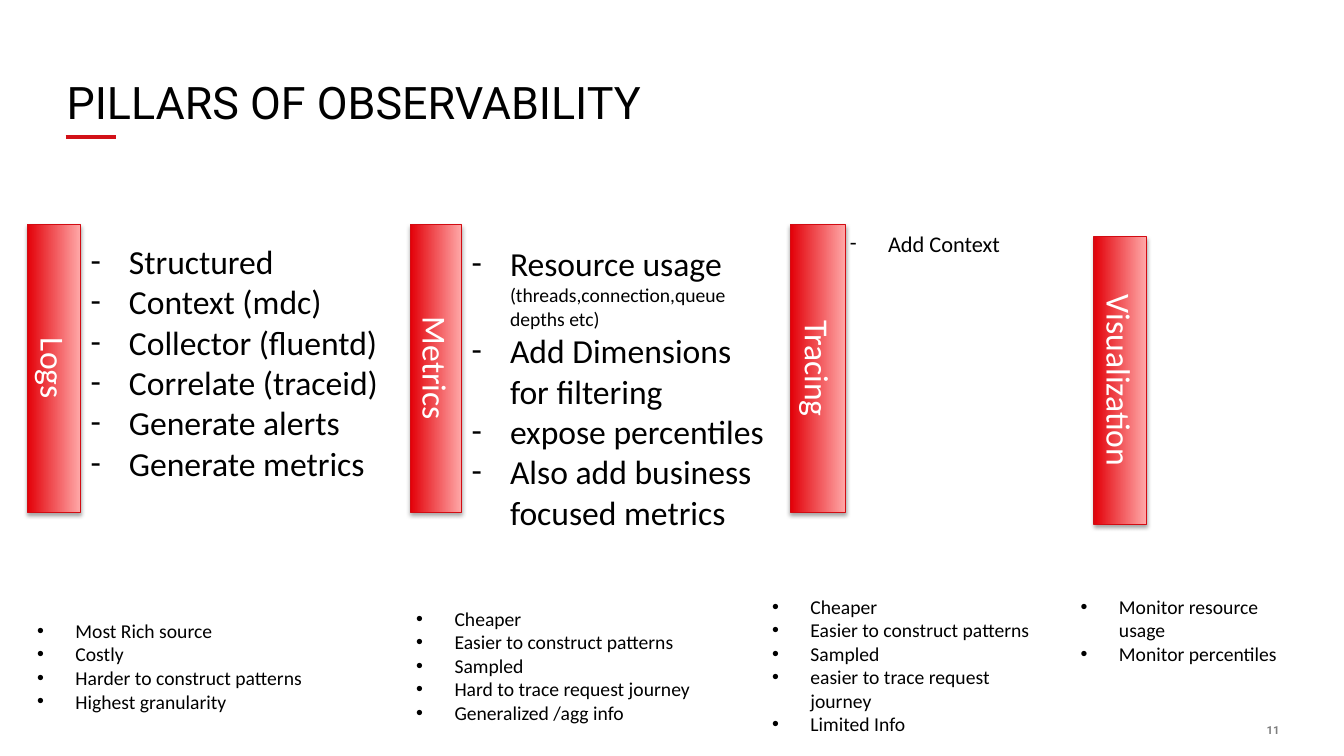
from lxml import etree
from pptx import Presentation
from pptx.dml.color import RGBColor
from pptx.enum.shapes import MSO_CONNECTOR as CONN, MSO_SHAPE as SHAPE
from pptx.enum.text import MSO_ANCHOR as ANCHOR, MSO_AUTO_SIZE as FIT, PP_ALIGN as ALIGN
from pptx.oxml import parse_xml
from pptx.oxml.ns import nsdecls, qn
from pptx.util import Inches, Pt

BLACK = RGBColor(0, 0, 0)
WHITE = RGBColor(0xFF, 0xFF, 0xFF)
GRAY = RGBColor(0x7F, 0x7F, 0x7F)
RULE = RGBColor(0xD2, 0x11, 0x18)
EDGE = RGBColor(0xD2, 0x0C, 0x13)
RED = RGBColor(0xE3, 0x00, 0x08)
PINK = RGBColor(0xFF, 0xA8, 0xA8)

# Content
TITLE = "PILLARS OF OBSERVABILITY"
NUMBER = " 11"
TALL = 2.85
# name, left, top and width as seen on the slide
PILLARS = [
    ("Logs", 0.27, 2.23, 0.53),
    ("Metrics", 4.07, 2.23, 0.51),
    ("Tracing", 7.84, 2.23, 0.55),
    ("Visualization", 10.85, 2.35, 0.52),
]
# box, bullet, size, items; an item is a text or a list of (text, size)
LISTS = [
    ((0.8, 2.34, 3.05, 2.52), "-", 24,
     ["Structured", "Context (mdc)", "Collector (fluentd)",
      "Correlate (traceid)", "Generate alerts", "Generate metrics"]),
    ((4.58, 2.36, 3.11, 3), "-", 24,
     [[("Resource usage ", 24), ("(threads,connection,queue depths etc)", 14)],
      "Add Dimensions for filtering", "expose percentiles",
      "Also add business focused metrics"]),
    ((8.33, 2.23, 2.28, 1.18), "-", 16, ["Add Context"]),
    ((0.27, 6.09, 2.93, 1.04), "•", 14,
     ["Most Rich source", "Costly", "Harder to construct patterns",
      "Highest granularity"]),
    ((4.03, 5.97, 2.93, 1.28), "•", 14,
     ["Cheaper", "Easier to construct patterns", "Sampled",
      "Hard to trace request journey", "Generalized /agg info"]),
    ((7.56, 5.85, 2.77, 1.51), "•", 14,
     ["Cheaper", "Easier to construct patterns", "Sampled",
      "easier to trace request journey", "Limited Info"]),
    ((10.62, 5.85, 2.17, 1.51), "•", 14,
     ["Monitor resource usage", "Monitor percentiles"]),
]


def place(box):
    return [Inches(v) for v in box]


def style(thing, **values):
    for name, value in values.items():
        setattr(thing, name, value)


def write(para, text, size, color, face="Calibri", bold=False):
    run = para.add_run()
    run.text = text
    style(run.font, size=Pt(size), name=face, bold=bold)
    run.font.color.rgb = color


def add_bullet(para, mark):
    props = para._p.get_or_add_pPr()
    props.set("marL", str(Inches(0.38)))
    props.set("indent", str(-Inches(0.38)))
    font = etree.SubElement(props, qn("a:buFont"))
    font.set("typeface", "Arial" if mark == "•" else "Calibri")
    etree.SubElement(props, qn("a:buChar")).set("char", mark)


def add_list(slide, box, mark, size, items):
    frame = slide.shapes.add_textbox(*place(box)).text_frame
    style(frame, word_wrap=True, auto_size=FIT.NONE)
    for i, item in enumerate(items):
        para = frame.add_paragraph() if i else frame.paragraphs[0]
        add_bullet(para, mark)
        for text, points in [(item, size)] if isinstance(item, str) else item:
            write(para, text, points, BLACK)


def add_pillar(slide, name, left, top, wide):
    # The bar lies flat, then turns about its centre
    shift = (TALL - wide) / 2
    bar = slide.shapes.add_shape(
        SHAPE.RECTANGLE, *place((left - shift, top + shift, TALL, wide)))
    bar.rotation = 90
    bar.fill.gradient()
    bar.fill.gradient_angle = 90
    for stop, color, spot in zip(bar.fill.gradient_stops, (RED, PINK), (0, 1)):
        stop.color.rgb = color
        stop.position = spot
    bar.line.color.rgb = EDGE
    bar.line.width = Pt(0.75)

    # Soft shadow straight below
    bar.shadow.inherit = False
    bar._element.spPr.find(qn("a:effectLst")).append(parse_xml(
        f'<a:outerShdw {nsdecls("a")} blurRad="{Pt(3.1)}" dist="{Pt(1.8)}" '
        'dir="5400000" rotWithShape="0"><a:srgbClr val="000000">'
        '<a:alpha val="35000"/></a:srgbClr></a:outerShdw>'))

    frame = bar.text_frame
    style(frame, word_wrap=True, vertical_anchor=ANCHOR.MIDDLE)
    para = frame.paragraphs[0]
    para.alignment = ALIGN.CENTER
    write(para, name, 24, WHITE)


def main():
    deck = Presentation()
    style(deck, slide_width=Inches(13.33), slide_height=Inches(7.5))
    slide = deck.slides.add_slide(deck.slide_layouts[5])

    # Title and its short rule
    title = slide.shapes.title
    left, top, wide, high = place((0.66, 0.74, 12.02, 0.59))
    style(title, left=left, top=top, width=wide, height=high)
    frame = title.text_frame
    style(frame, margin_left=0, margin_right=0, word_wrap=True,
          auto_size=FIT.NONE, vertical_anchor=ANCHOR.BOTTOM)
    para = frame.paragraphs[0]
    style(para, alignment=ALIGN.LEFT, line_spacing=0.9)
    write(para, TITLE, 32, BLACK, "Roboto")

    rule = slide.shapes.add_connector(
        CONN.STRAIGHT, *place((0.65, 1.36, 1.15, 1.36)))
    rule.line.color.rgb = RULE
    rule.line.width = Pt(2.75)
    etree.SubElement(rule._element.spPr, qn("a:effectLst"))

    # Pillars and their lists
    for pillar in PILLARS:
        add_pillar(slide, *pillar)
    for entry in LISTS:
        add_list(slide, *entry)

    # Slide number
    frame = slide.shapes.add_textbox(*place((12.24, 7.18, 0.45, 0.14))).text_frame
    style(frame, margin_left=0, margin_top=0, margin_right=0, margin_bottom=0,
          word_wrap=True)
    para = frame.paragraphs[0]
    para.alignment = ALIGN.RIGHT
    write(para, NUMBER, 8, GRAY, "Roboto", True)

    deck.save("out.pptx")


if __name__ == "__main__":
    main()
